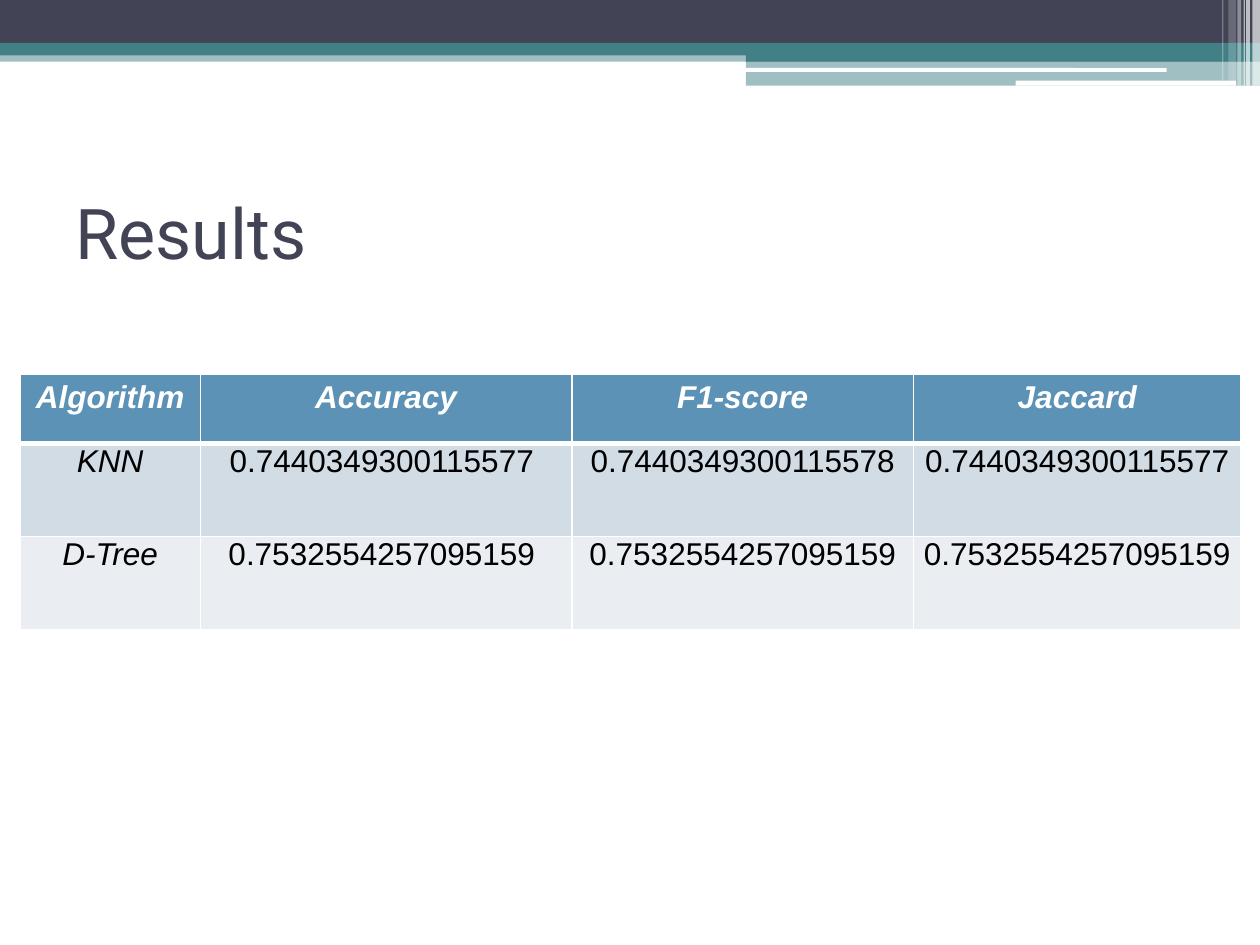
from dataclasses import dataclass
from typing import Any

import lxml.etree
import pptx
import pptx.dml.color
import pptx.enum.shapes
import pptx.enum.text
import pptx.oxml.ns
import pptx.util

Inches = pptx.util.Inches
Pt = pptx.util.Pt
qn = pptx.oxml.ns.qn
RECT = pptx.enum.shapes.MSO_SHAPE.RECTANGLE
ROUNDED = pptx.enum.shapes.MSO_SHAPE.ROUNDED_RECTANGLE
CENTER = pptx.enum.text.PP_ALIGN.CENTER

COLORS = {
    "navy": "424456",
    "teal": "438086",
    "white": "FFFFFF",
    "black": "000000",
    "header": "5C92B5",
    "odd": "D2DCE5",
    "even": "EAEEF3",
}
TITLE_FONT = {"name": "Roboto", "size": Pt(40)}
TABLE_FONT = {"name": "Arial", "size": Pt(18)}
CELL_MARGINS = {
    "margin_left": Inches(0.07),
    "margin_right": Inches(0.07),
    "margin_top": 0,
    "margin_bottom": 0,
}


@dataclass
class Band:
    left: float
    top: float
    width: float
    height: float
    color: str
    opacity: int = 100
    outline: Any = RECT


@dataclass
class ResultRow:
    values: tuple[str, ...]
    height: float
    fill: str
    text_color: str = "black"
    is_header: bool = False


BANDS = [
    Band(0, 0.4, 10, 0.09, "teal", 50),
    Band(0, 0, 10, 0.34, "navy"),
    Band(0, 0.34, 10, 0.1, "teal"),
    Band(5.92, 0.39, 4.08, 0.1, "teal"),
    Band(5.92, 0.48, 4.08, 0.2, "teal", 50),
    Band(5.91, 0.54, 3.35, 0.03, "white", outline=ROUNDED),
    Band(8.06, 0.64, 1.75, 0.04, "white", outline=ROUNDED),
    Band(9.94, 0, 0.06, 0.68, "white", 65),
    Band(9.89, 0, 0.03, 0.68, "white", 65),
    Band(9.87, 0, 0.01, 0.68, "white", 60),
    Band(9.82, 0, 0.03, 0.68, "white", 40),
    Band(9.75, 0, 0.06, 0.64, "white", 20),
    Band(9.7, 0, 0.01, 0.64, "white", 30),
]
COLUMN_WIDTHS = [1.43, 2.95, 2.71, 2.6]
RESULTS = [
    ResultRow(("Algorithm", "Accuracy", "F1-score", "Jaccard"), 0.55, "header", "white", True),
    ResultRow(("KNN", "0.7440349300115577 ", "0.7440349300115578", "0.7440349300115577"), 0.74, "odd"),
    ResultRow(("D-Tree", "0.7532554257095159 ", "0.7532554257095159", "0.7532554257095159"), 0.74, "even"),
]


def rgb(color: str) -> pptx.dml.color.RGBColor:
    return pptx.dml.color.RGBColor.from_string(COLORS[color])


def apply_format(target: Any, values: dict[str, Any]) -> None:
    for attribute, value in values.items():
        setattr(target, attribute, value)


def paint(fill: Any, color: str) -> None:
    fill.solid()
    fill.fore_color.rgb = rgb(color)


def draw_band(slide: Any, band: Band) -> None:
    box = map(Inches, (band.left, band.top, band.width, band.height))
    stripe = slide.shapes.add_shape(band.outline, *box)
    stripe.shadow.inherit = False
    stripe.line.fill.background()
    paint(stripe.fill, band.color)
    if band.opacity < 100:
        tint = stripe._element.spPr.find(qn("a:solidFill")).find(qn("a:srgbClr"))
        lxml.etree.SubElement(tint, qn("a:alpha"), val=str(band.opacity * 1000))


def draw_title(slide: Any, wording: str) -> None:
    title = slide.shapes.add_textbox(*map(Inches, (0.5, 1.25, 9, 1.17))).text_frame
    apply_format(title, {"word_wrap": True, "vertical_anchor": pptx.enum.text.MSO_ANCHOR.MIDDLE})
    title.text = wording
    font = title.paragraphs[0].runs[0].font
    apply_format(font, TITLE_FONT)
    font.color.rgb = rgb("navy")


def add_borders(cell: Any, points: dict[str, int]) -> None:
    properties = cell._tc.get_or_add_tcPr()
    for side, width in points.items():
        border = lxml.etree.SubElement(properties, qn(f"a:ln{side}"), w=str(Pt(width)))
        solid = lxml.etree.SubElement(border, qn("a:solidFill"))
        lxml.etree.SubElement(solid, qn("a:srgbClr"), val=COLORS["white"])


def draw_results(slide: Any, rows: list[ResultRow]) -> None:
    total_height = sum(row.height for row in rows)
    box = map(Inches, (0.16, 2.97, sum(COLUMN_WIDTHS), total_height))
    results = slide.shapes.add_table(len(rows), len(COLUMN_WIDTHS), *box).table
    for column, width in zip(results.columns, COLUMN_WIDTHS):
        column.width = Inches(width)
    for row_index, row in enumerate(rows):
        results.rows[row_index].height = Inches(row.height)
        top = 3 if row_index == 1 else 1
        bottom = 3 if row.is_header else 1
        for column_index, value in enumerate(row.values):
            cell = results.cell(row_index, column_index)
            apply_format(cell, CELL_MARGINS)
            add_borders(cell, {"L": 1, "R": 1, "T": top, "B": bottom})
            paint(cell.fill, row.fill)
            cell.text = value
            paragraph = cell.text_frame.paragraphs[0]
            spacing = 1.15 if row.is_header else 1.0
            apply_format(paragraph, {"alignment": CENTER, "line_spacing": spacing})
            font = paragraph.runs[0].font
            italic = row.is_header or column_index == 0
            apply_format(font, TABLE_FONT | {"bold": row.is_header, "italic": italic})
            font.color.rgb = rgb(row.text_color)


def main() -> None:
    deck = pptx.Presentation()
    apply_format(deck, {"slide_width": Inches(10), "slide_height": Inches(7.5)})
    slide = deck.slides.add_slide(deck.slide_layouts[6])
    for band in BANDS:
        draw_band(slide, band)
    draw_title(slide, "Results")
    draw_results(slide, RESULTS)
    deck.save("out.pptx")


if __name__ == "__main__":
    main()
